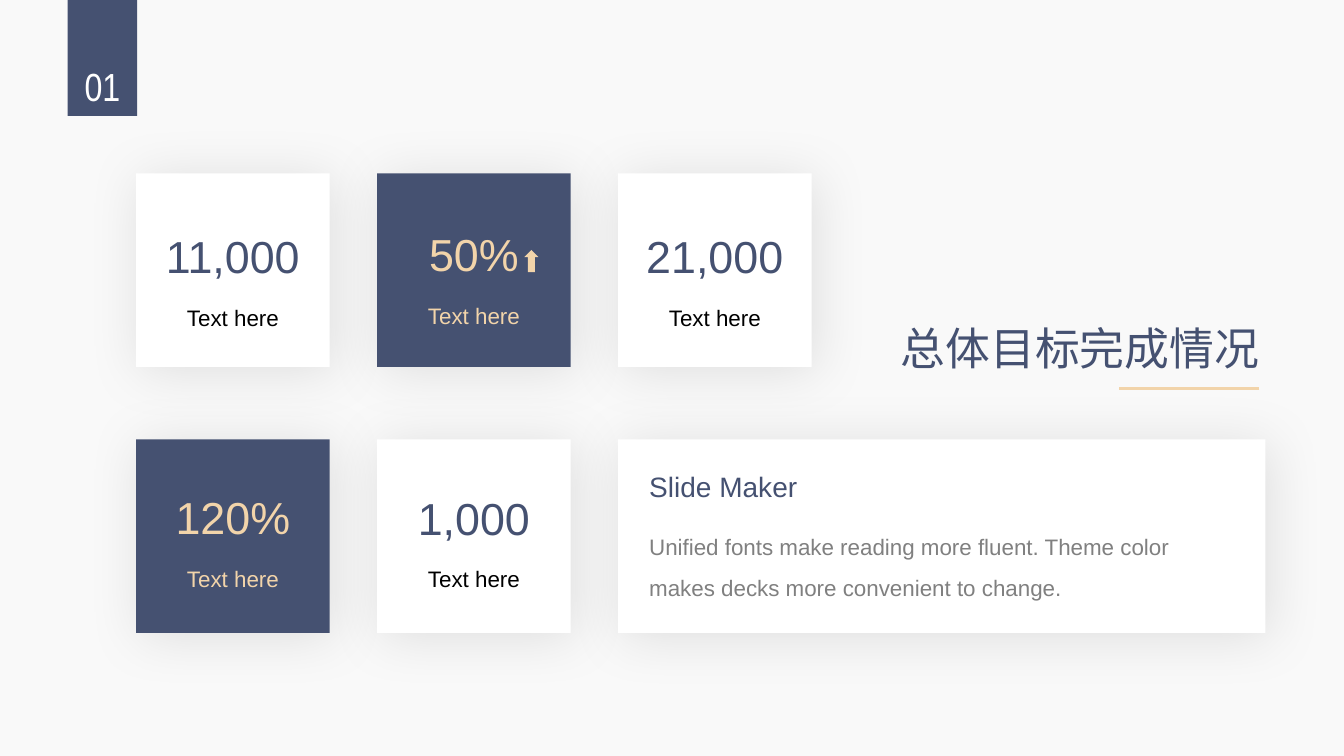
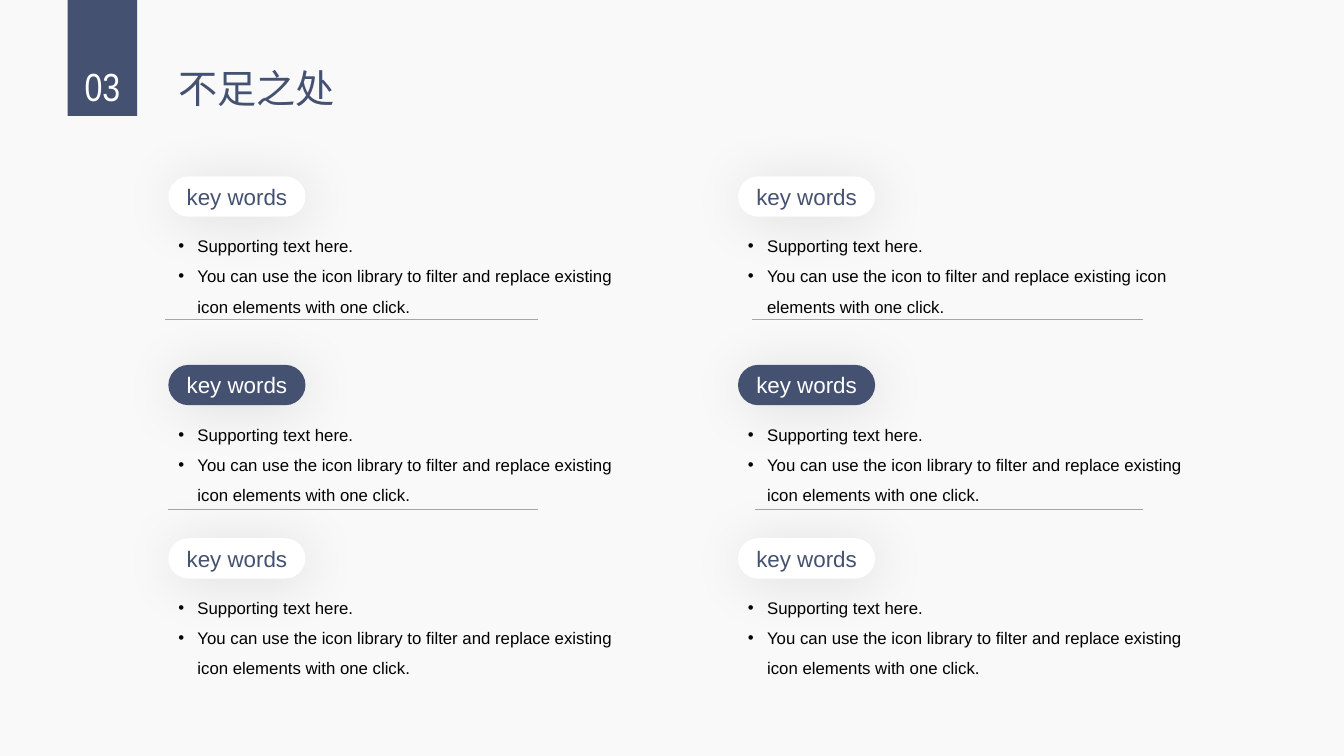
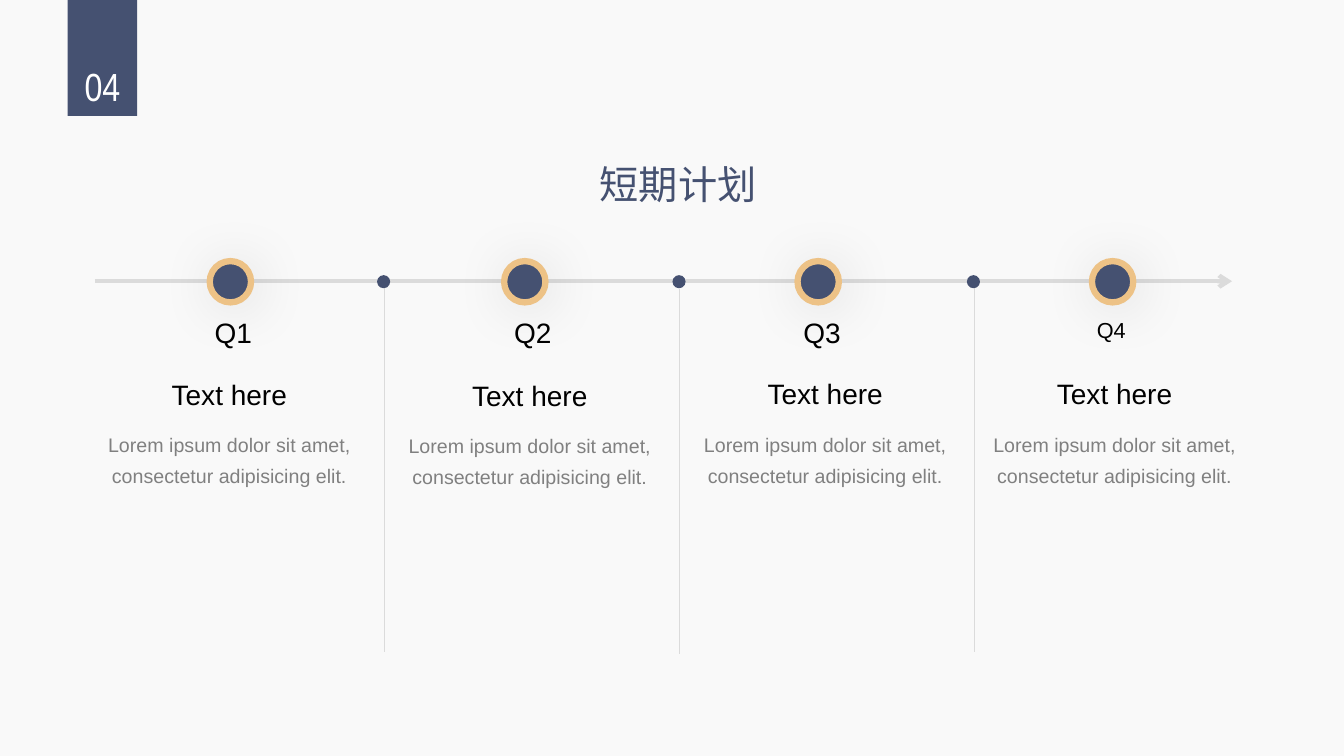
from lxml.etree import SubElement
from pptx import Presentation
from pptx.dml.color import RGBColor
from pptx.enum.shapes import MSO_CONNECTOR, MSO_SHAPE
from pptx.enum.text import MSO_ANCHOR, PP_ALIGN
from pptx.oxml.ns import qn
from pptx.util import Emu, Pt

PX = 9144  # EMU per px, 100 px to the inch
COLORS = {
    "back": "F9F9F9", "navy": "455171", "white": "FFFFFF", "black": "000000",
    "sand": "F2D4AA", "gold": "EDC286", "gray": "808080", "rule": "A5A5A5",
    "pale": "DBDBDB",
}
ALIGN = {"l": PP_ALIGN.LEFT, "c": PP_ALIGN.CENTER, "r": PP_ALIGN.RIGHT}
ANCHOR = {"t": MSO_ANCHOR.TOP, "m": MSO_ANCHOR.MIDDLE, "b": MSO_ANCHOR.BOTTOM}

# Slide 1: column, row, number, top of number, top of caption, dark
TILE, TILE_X, TILE_STEP, TILE_Y = 192, 135, 239, (172, 436)
TILES = [
    (0, 0, "11,000", 222, 297, False),
    (1, 0, "50%", 220, 295, True),
    (2, 0, "21,000", 222, 297, False),
    (0, 1, "120%", 481, 555, True),
    (1, 1, "1,000", 482, 555, False),
]
CAPTION = "Text here"
PANEL_HEAD = "Slide Maker"
PANEL_BODY = ("Unified fonts make reading more fluent. "
              "Theme color makes decks more convenient to change.")

# Slide 2: left of column, left of its rules, right of its rules
COLUMNS = [(167, (164, 167), 534), (732, (746, 749), 1134)]
ROWS = [(175, False), (362, True), (534, False)]
RULE_Y = (317, 505)
KEY = "key words"
SUPPORT = "Supporting text here."
LONG = ("You can use the icon library to filter and replace existing "
        "icon elements with one click.")
SHORT = LONG.replace("icon library", "icon")

# Slide 3: label, its left, its size, left of text, top of heading, top of body
QUARTERS = [
    ("Q1", 203, 20, 94, 369, 418),
    ("Q2", 500, 20, 392, 370, 419),
    ("Q3", 787, 20, 685, 368, 418),
    ("Q4", 1078, 15.5, 972, 368, 418),
]
LOREM = "Lorem ipsum dolor sit amet, consectetur adipisicing elit."
AXIS_Y = 279
DIVIDERS = [(381, 285), (674, 287), (966, 285)]


def rgb(name):
    return RGBColor.from_string(COLORS[name])


def emu(*values):
    return [Emu(v * PX) for v in values]


def write(shape, content, size=16, color="black", font="Arial", align="l",
          anchor="t", spacing=None, bullet=False):
    """Fill a shape with one paragraph, or one per item of a list."""
    frame = shape.text_frame
    frame.word_wrap = True
    frame.vertical_anchor = ANCHOR[anchor]
    for i, line in enumerate([content] if isinstance(content, str) else content):
        par = frame.add_paragraph() if i else frame.paragraphs[0]
        par.alignment = ALIGN[align]
        if spacing:
            par.line_spacing = spacing
        if bullet:
            props = par._p.get_or_add_pPr()
            props.set("marL", str(19 * PX))
            props.set("indent", str(-19 * PX))
            SubElement(props, qn("a:buFont"), typeface="Arial")
            SubElement(props, qn("a:buChar"), char="•")
        run = par.add_run()
        run.text = line
        run.font.size = Pt(size)
        run.font.name = font
        run.font.color.rgb = rgb(color)


def text(slide, box, content, **style):
    write(slide.shapes.add_textbox(*emu(*box)), content, **style)


def draw(slide, kind, box, fill, line=None, width=0, shadow=False):
    shape = slide.shapes.add_shape(kind, *emu(*box))
    shape.fill.solid()
    shape.fill.fore_color.rgb = rgb(fill)
    if line:
        shape.line.color.rgb = rgb(line)
        shape.line.width = Pt(width)
    else:
        shape.line.fill.background()
    shape.shadow.inherit = False
    if shadow:
        effects = shape._element.spPr.find(qn("a:effectLst"))
        outer = SubElement(effects, qn("a:outerShdw"), blurRad=str(Pt(40)),
                           dist=str(Pt(4)), dir="2700000", algn="tl",
                           rotWithShape="0")
        tint = SubElement(outer, qn("a:srgbClr"), val=COLORS["black"])
        SubElement(tint, qn("a:alpha"), val="11000")
    return shape


def rule(slide, ends, color, width, arrow=False):
    line = slide.shapes.add_connector(MSO_CONNECTOR.STRAIGHT, *emu(*ends))
    line.line.color.rgb = rgb(color)
    line.line.width = Pt(width)
    if arrow:
        SubElement(line.line._get_or_add_ln(), qn("a:tailEnd"), type="arrow")
    SubElement(line._element.spPr, qn("a:effectLst"))


def page(deck, number):
    """Add a slide with the shared background and number tab."""
    slide = deck.slides.add_slide(deck.slide_layouts[6])
    slide.background.fill.solid()
    slide.background.fill.fore_color.rgb = rgb("back")
    draw(slide, MSO_SHAPE.RECTANGLE, (67, 0, 69, 115), "navy")
    text(slide, (67, 57, 69, 57), number, size=28, color="white",
         font="Arial Narrow", align="c")
    return slide


def goals(deck):
    slide = page(deck, "01")
    for col, row, number, top, low, dark in TILES:
        x = TILE_X + col * TILE_STEP
        draw(slide, MSO_SHAPE.RECTANGLE, (x, TILE_Y[row], TILE, TILE),
             "navy" if dark else "white", shadow=True)
        text(slide, (x, top, TILE, 64), number, size=32, align="c",
             color="sand" if dark else "navy")
        text(slide, (x, low, TILE, 37), CAPTION, align="c", anchor="m",
             color="sand" if dark else "black")
    draw(slide, MSO_SHAPE.UP_ARROW, (520, 248, 14, 22), "sand")
    draw(slide, MSO_SHAPE.RECTANGLE,
         (TILE_X + 2 * TILE_STEP, TILE_Y[1], 642, TILE), "white", shadow=True)
    text(slide, (634, 460, 548, 44), PANEL_HEAD, size=20, color="navy", anchor="m")
    text(slide, (634, 511, 548, 86), PANEL_BODY, color="gray", spacing=1.5)
    text(slide, (849, 292, 410, 84), "总体目标完成情况", size=32, color="navy",
         align="r", anchor="b", spacing=1.3)
    rule(slide, (1249, 385, 1110, 385), "sand", 2.25)


def gaps(deck):
    slide = page(deck, "03")
    text(slide, (167, 59, 200, 57), "不足之处", size=28, color="navy")
    for col, (x, starts, end) in enumerate(COLUMNS):
        for start, y in zip(starts, RULE_Y):
            rule(slide, (start, y, end, y), "rule", 0.25)
        for row, (y, dark) in enumerate(ROWS):
            pill = draw(slide, MSO_SHAPE.ROUNDED_RECTANGLE, (x, y, 136, 40),
                        "navy" if dark else "white", shadow=True)
            pill.adjustments[0] = 0.5
            write(pill, KEY, color="white" if dark else "navy", align="c", anchor="m")
            detail = SHORT if (col, row) == (1, 0) else LONG
            text(slide, (x, y + 44, 454, 97), [SUPPORT, detail], size=12,
                 spacing=1.5, bullet=True)


def plan(deck):
    slide = page(deck, "04")
    text(slide, (497, 154, 351, 57), "短期计划", size=28, color="navy", align="c")
    rule(slide, (94, AXIS_Y, 1222, AXIS_Y), "pale", 3, arrow=True)
    for x, top in DIVIDERS:
        rule(slide, (x, top, x, top + 362), "pale", 0.5)
        draw(slide, MSO_SHAPE.OVAL, (x - 7, AXIS_Y - 6, 13, 13), "navy")
    for i, (label, left, size, x, head, body) in enumerate(QUARTERS):
        draw(slide, MSO_SHAPE.OVAL, (208 + round(i * 291.67), AXIS_Y - 20, 41, 41),
             "navy", line="gold", width=4.5, shadow=True)
        text(slide, (left, 308, 60, 44), label, size=size, anchor="m",
             spacing=0.8 if size < 20 else None)
        text(slide, (x, head, 267, 44), CAPTION, size=20, align="c", anchor="m")
        text(slide, (x, body, 267, 71), LOREM, size=14, color="gray",
             align="c", spacing=1.3)


def main():
    deck = Presentation()
    deck.slide_width, deck.slide_height = emu(1333, 750)
    for build in (goals, gaps, plan):
        build(deck)
    deck.save("out.pptx")


if __name__ == "__main__":
    main()
